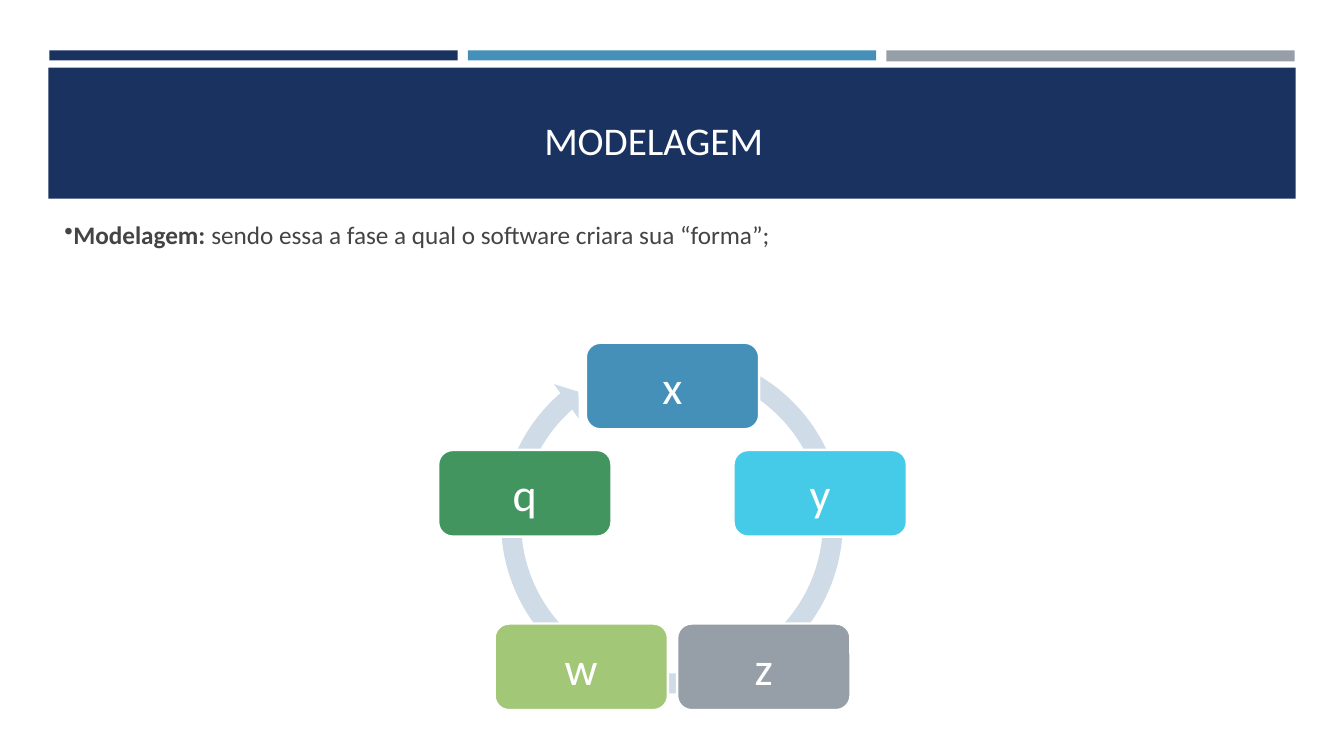
from dataclasses import dataclass
from math import cos, radians, sin
from typing import NamedTuple

from pptx import Presentation
from pptx.dml.color import RGBColor
from pptx.enum.shapes import MSO_SHAPE
from pptx.enum.text import MSO_ANCHOR, PP_ALIGN
from pptx.oxml.ns import qn
from pptx.shapes.autoshape import Shape
from pptx.slide import Slide
from pptx.text.text import TextFrame
from pptx.util import Inches, Pt

RECTANGLE = MSO_SHAPE.RECTANGLE
ROUNDED = MSO_SHAPE.ROUNDED_RECTANGLE
CIRCULAR_ARROW = MSO_SHAPE.CIRCULAR_ARROW
MIDDLE, BOTTOM = MSO_ANCHOR.MIDDLE, MSO_ANCHOR.BOTTOM
CENTER, LEFT = PP_ALIGN.CENTER, PP_ALIGN.LEFT


@dataclass(frozen=True)
class Theme:
    font: str = "Calibri"
    navy: str = "1A3260"
    blue: str = "4590B8"
    gray: str = "969FA7"
    cyan: str = "45CBE8"
    lime: str = "A2C777"
    green: str = "42955F"
    pale: str = "CFDBE6"
    white: str = "FFFFFF"
    body: str = "444444"
    title_size: float = 28
    body_size: float = 18
    node_size: float = 33
    outline: float = 1.75


THEME = Theme()


class Box(NamedTuple):
    left: float
    top: float
    width: float
    height: float


class Panel(NamedTuple):
    box: Box
    color: str


class Node(NamedTuple):
    label: str
    color: str


class Span(NamedTuple):
    text: str
    bold: bool = False


# Header bars and title band
PANELS = [
    Panel(Box(0.49, 0.5, 4.05, 0.1), THEME.navy),
    Panel(Box(4.64, 0.5, 4.05, 0.1), THEME.blue),
    Panel(Box(8.79, 0.5, 4.05, 0.11), THEME.gray),
    Panel(Box(0.48, 0.67, 12.37, 1.3), THEME.navy),
]
TITLE_BOX = Box(5.3, 0.56, 2.73, 1.11)
BODY_BOX = Box(0.54, 2.13, 10.28, 0.4)

# Cycle, clockwise from the top
NODES = [
    Node("x", THEME.blue),
    Node("y", THEME.cyan),
    Node("z", THEME.gray),
    Node("w", THEME.lime),
    Node("q", THEME.green),
]
NODE_WIDTH, NODE_HEIGHT = 1.72, 0.86
CENTER_X, CENTER_Y, RADIUS = 6.67, 5.37, 1.54
ARROW_BOX = Box(4.86, 3.38, 3.61, 3.61)
ARROW_ADJUSTMENTS = (0.055, 3.31, 137.37, 174.1, 0.058)


def apply_format(target: object, values: dict[str, object]) -> None:
    for name, value in values.items():
        setattr(target, name, value)


def add_filled_shape(slide: Slide, kind: MSO_SHAPE, box: Box, color: str) -> Shape:
    shape = slide.shapes.add_shape(kind, *map(Inches, box))
    shape.shadow.inherit = False
    shape.fill.solid()
    shape.fill.fore_color.rgb = RGBColor.from_string(color)
    shape.line.fill.background()
    return shape


def write_spans(frame: TextFrame, spans: list[Span], size: float, color: str,
                alignment: PP_ALIGN, bullet: str = "") -> None:
    paragraph = frame.paragraphs[0]
    if bullet:
        properties = paragraph._p.get_or_add_pPr()
        mark = properties.makeelement(qn("a:buChar"), {"char": bullet})
        properties.append(mark)
    paragraph.alignment = alignment
    for span in spans:
        run = paragraph.add_run()
        run.text = span.text
        apply_format(run.font, {"name": THEME.font, "size": Pt(size), "bold": span.bold})
        run.font.color.rgb = RGBColor.from_string(color)


def add_text_frame(slide: Slide, box: Box, anchor: MSO_ANCHOR) -> TextFrame:
    frame = slide.shapes.add_textbox(*map(Inches, box)).text_frame
    apply_format(frame, {"word_wrap": True, "vertical_anchor": anchor})
    return frame


def add_node(slide: Slide, node: Node, angle: float) -> None:
    box = Box(CENTER_X + RADIUS * sin(angle) - NODE_WIDTH / 2,
              CENTER_Y - RADIUS * cos(angle) - NODE_HEIGHT / 2,
              NODE_WIDTH, NODE_HEIGHT)
    shape = add_filled_shape(slide, ROUNDED, box, node.color)
    shape.line.color.rgb = RGBColor.from_string(THEME.white)
    shape.line.width = Pt(THEME.outline)
    apply_format(shape.text_frame, {"word_wrap": True, "vertical_anchor": MIDDLE})
    write_spans(shape.text_frame, [Span(node.label)], THEME.node_size, THEME.white, CENTER)


def add_cycle(slide: Slide) -> None:
    arrow = add_filled_shape(slide, CIRCULAR_ARROW, ARROW_BOX, THEME.pale)
    for index, value in enumerate(ARROW_ADJUSTMENTS):
        arrow.adjustments[index] = value
    for index, node in enumerate(NODES):
        add_node(slide, node, radians(360 / len(NODES) * index))


def main() -> None:
    presentation = Presentation()
    presentation.slide_width = Inches(13.33)
    presentation.slide_height = Inches(7.5)
    slide = presentation.slides.add_slide(presentation.slide_layouts[6])

    # Header
    for panel in PANELS:
        add_filled_shape(slide, RECTANGLE, panel.box, panel.color)
    title = add_text_frame(slide, TITLE_BOX, BOTTOM)
    write_spans(title, [Span("MODELAGEM")], THEME.title_size, THEME.white, LEFT)

    # Diagram
    add_cycle(slide)

    # Definition
    body = add_text_frame(slide, BODY_BOX, MSO_ANCHOR.TOP)
    spans = [Span("Modelagem:", True),
             Span(" sendo essa a fase a qual o software criara sua “forma”;")]
    write_spans(body, spans, THEME.body_size, THEME.body, LEFT, "•")

    presentation.save("out.pptx")


if __name__ == "__main__":
    main()
